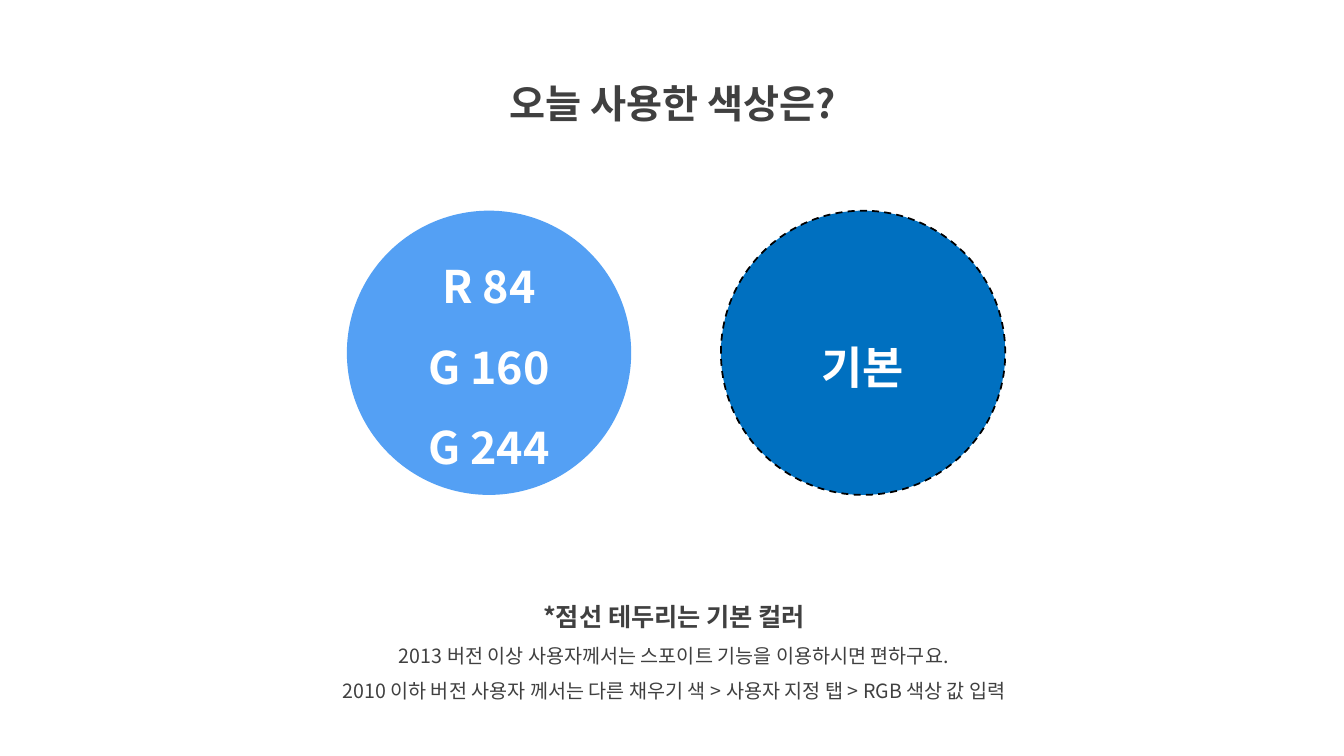
"""Build the slide that lists the colours used today."""
from lxml import etree
from pptx import Presentation
from pptx.dml.color import RGBColor
from pptx.enum.dml import MSO_LINE
from pptx.enum.shapes import MSO_SHAPE
from pptx.enum.text import MSO_ANCHOR, MSO_AUTO_SIZE, PP_ALIGN
from pptx.oxml.ns import qn
from pptx.util import Inches, Pt

FONT = "Noto Sans CJK KR"
GREY, WHITE, BLACK = "404040", "FFFFFF", "000000"

TITLE = [("오늘 사용한 색상은?", 28, True)]
NOTES = [
    ("*점선 테두리는 기본 컬러", 18, True),
    ("2013 버전 이상 사용자께서는 스포이트 기능을 이용하시면 편하구요.", 14, False),
    ("2010 이하 버전 사용자 께서는 다른 채우기 색 > 사용자 지정 탭 > RGB 색상 값 입력", 14, False),
]
SWATCHES = [
    ("54A0F4", False, ["R 84", "G 160", "G 244"]),
    ("0070C0", True, ["기본"]),
]
SWATCH_LEFT, SWATCH_TOP, SWATCH_SIZE, SWATCH_STEP = 3.44, 2.09, 2.82, 3.71


def rgb(color):
    return RGBColor.from_string(color)


def write(shape, lines, color, anchor=MSO_ANCHOR.TOP):
    tf = shape.text_frame
    tf.word_wrap = True
    tf.auto_size = MSO_AUTO_SIZE.NONE
    tf.vertical_anchor = anchor
    tf.text = "\n".join(text for text, _, _ in lines)
    for p, (_, size, bold) in zip(tf.paragraphs, lines):
        p.alignment = PP_ALIGN.CENTER
        p.line_spacing = 1.5
        font = p.runs[0].font
        font.size, font.bold, font.name = Pt(size), bold, FONT
        font.color.rgb = rgb(color)
        r_pr = p.runs[0]._r.get_or_add_rPr()
        etree.SubElement(r_pr, qn("a:ea"), typeface=FONT)


def add_swatch(s, index, fill, dashed, labels):
    left = SWATCH_LEFT + index * SWATCH_STEP
    sp = s.shapes.add_shape(MSO_SHAPE.OVAL, Inches(left), Inches(SWATCH_TOP),
                            Inches(SWATCH_SIZE), Inches(SWATCH_SIZE))
    sp.shadow.inherit = False
    sp.fill.solid()
    sp.fill.fore_color.rgb = rgb(fill)
    if dashed:
        sp.line.color.rgb = rgb(BLACK)
        sp.line.width = Pt(1.25)
        sp.line.dash_style = MSO_LINE.DASH
    else:
        sp.line.fill.background()
    write(sp, [(label, 32, True) for label in labels], WHITE, MSO_ANCHOR.MIDDLE)


def main():
    prs = Presentation()
    prs.slide_width, prs.slide_height = Inches(13.33), Inches(7.5)
    s = prs.slides.add_slide(prs.slide_layouts[5])

    title = s.shapes.title
    title.left, title.top = Inches(4.36), Inches(0.5)
    title.width, title.height = Inches(4.63), Inches(0.72)
    write(title, TITLE, GREY)

    notes = s.shapes.add_textbox(Inches(2.69), Inches(5.77), Inches(7.99), Inches(1.26))
    write(notes, NOTES, GREY)

    for i, swatch in enumerate(SWATCHES):
        add_swatch(s, i, *swatch)
    prs.save("out.pptx")


if __name__ == "__main__":
    main()
